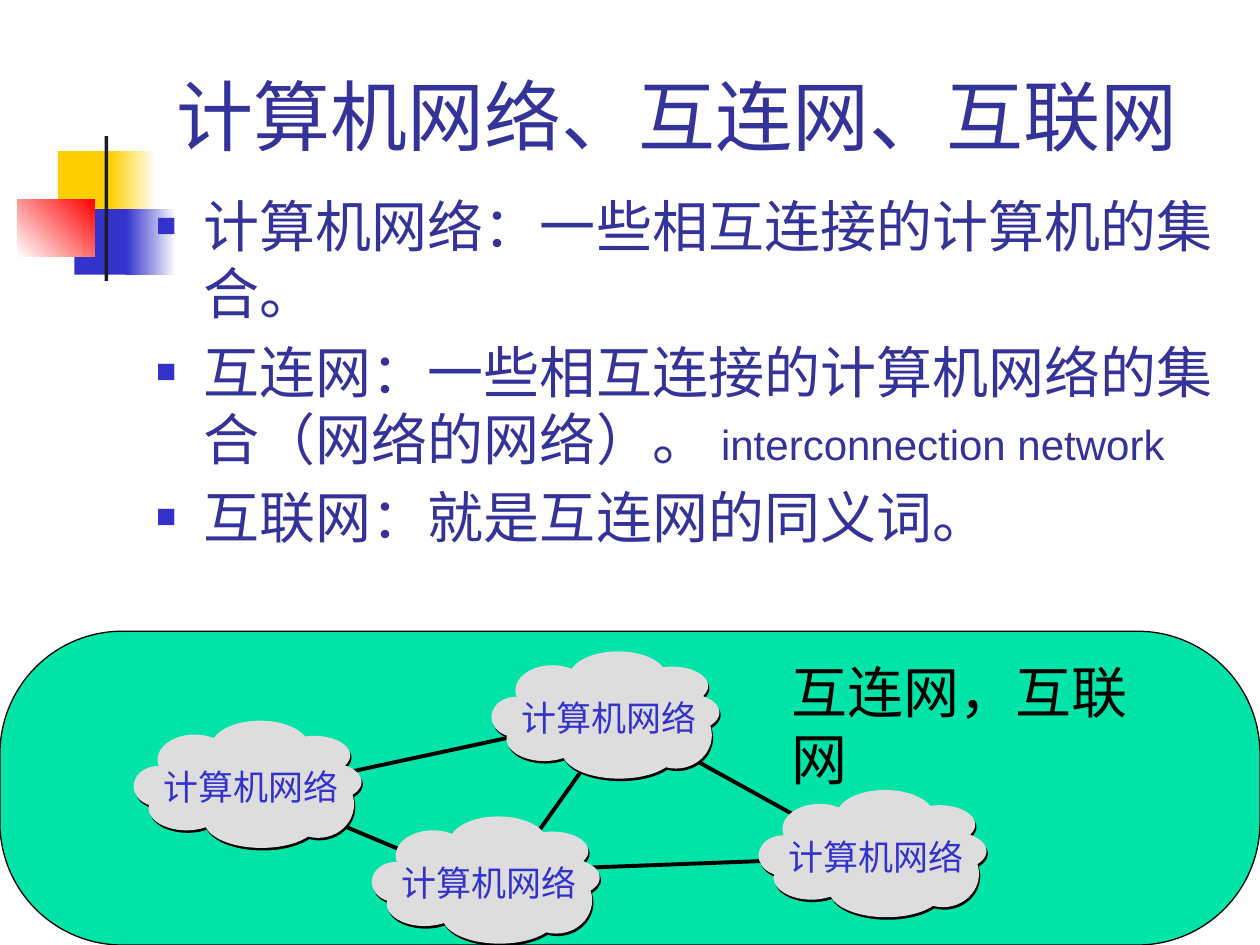
"""Build a slide that explains computer networks and internetworks."""
from typing import NamedTuple

from lxml.etree import SubElement
from pptx import Presentation
from pptx.dml.color import RGBColor
from pptx.enum.shapes import MSO_CONNECTOR, MSO_SHAPE
from pptx.enum.text import MSO_ANCHOR, PP_ALIGN
from pptx.oxml.ns import qn
from pptx.util import Inches, Pt

COLORS = {
    "yellow": "FFCF01", "blue": "3333CC", "red": "FF0000", "white": "FFFFFF",
    "bar": "1C1C1C", "navy": "333399", "green": "00E4A8", "black": "000000",
    "cloud": "DDDDDD",
}


class Box(NamedTuple):
    left: float
    top: float
    width: float
    height: float


class Ornament(NamedTuple):
    box: Box
    color: str
    end_color: str = ""
    angle: int = 0


class Link(NamedTuple):
    x1: float
    y1: float
    x2: float
    y2: float


class TextPart(NamedTuple):
    text: str
    size: int = 32


ORNAMENTS = [
    Ornament(Box(0.46, 1.2, 0.48, 0.52), "yellow"),
    Ornament(Box(0.88, 1.2, 0.36, 0.52), "yellow", "white"),
    Ornament(Box(0.59, 1.66, 0.46, 0.52), "blue"),
    Ornament(Box(1, 1.66, 0.4, 0.52), "blue", "white"),
    Ornament(Box(0.14, 1.58, 0.61, 0.46), "white", "red", 45),
    Ornament(Box(0.83, 1.08, 0.03, 1.15), "bar"),
]
DEFINITIONS = [
    [TextPart("计算机网络：一些相互连接的计算机的集合。")],
    [TextPart("互连网：一些相互连接的计算机网络的集合（网络的网络）。 "),
     TextPart("interconnection network", 24)],
    [TextPart("互联网：就是互连网的同义词。")],
]
LINKS = [
    Link(2.48, 6.19, 4.29, 5.8),
    Link(2.24, 6.35, 3.74, 6.98),
    Link(4.29, 6.9, 6.42, 6.82),
    Link(5.24, 5.88, 6.65, 6.66),
    Link(4.84, 5.8, 4.06, 6.9),
]
CLOUD_ORIGINS = [(1.06, 5.72), (2.95, 6.48), (3.9, 5.17), (6.02, 6.27)]
PUFFS = [
    Box(0.62, 0, 0.77, 0.4), Box(0.19, 0.11, 0.59, 0.4), Box(0, 0.36, 0.39, 0.32),
    Box(0.12, 0.52, 0.6, 0.35), Box(0.56, 0.58, 0.91, 0.43), Box(1.15, 0.12, 0.57, 0.31),
    Box(1.24, 0.33, 0.57, 0.31), Box(1.18, 0.4, 0.57, 0.53), Box(0.33, 0.24, 1.17, 0.53),
]
CLOUD_LABEL = Box(0.14, 0.31, 1.59, 0.43)


def rgb(name: str) -> RGBColor:
    return RGBColor.from_string(COLORS[name])


def emu(box: Box) -> list:
    return [Inches(length) for length in box]


def shift(box: Box, x: float, y: float) -> Box:
    return box._replace(left=box.left + x, top=box.top + y)


def style_run(run, size: int, font: str, color: str) -> None:
    run.font.size = Pt(size)
    run.font.name = font
    run.font.color.rgb = rgb(color)


def add_solid(shapes, kind, box: Box, color: str):
    shape = shapes.add_shape(kind, *emu(box))
    shape.shadow.inherit = False
    shape.fill.solid()
    shape.fill.fore_color.rgb = rgb(color)
    shape.line.fill.background()
    return shape


def add_ornament(shapes, ornament: Ornament) -> None:
    shape = add_solid(shapes, MSO_SHAPE.RECTANGLE, ornament.box, ornament.color)
    if ornament.end_color:
        shape.fill.gradient()
        shape.fill.gradient_angle = ornament.angle
        stops = shape.fill.gradient_stops
        for stop, color in zip(stops, (ornament.color, ornament.end_color)):
            stop.color.rgb = rgb(color)


def add_label(shapes, text: str, box: Box, size: int, color: str) -> None:
    text_frame = shapes.add_textbox(*emu(box)).text_frame
    text_frame.word_wrap = False
    text_frame.text = text
    style_run(text_frame.paragraphs[0].runs[0], size, "Times New Roman", color)


def add_link(shapes, link: Link) -> None:
    connector = shapes.add_connector(MSO_CONNECTOR.STRAIGHT, *[Inches(v) for v in link])
    connector.line.color.rgb = rgb("black")
    connector.line.width = Pt(2.25)
    SubElement(connector._element.spPr, qn("a:effectLst"))


def add_cloud(shapes, x: float, y: float) -> None:
    group = shapes.add_group_shape()
    for color, dx, dy in (("black", 0.01, 0.02), ("cloud", 0, 0)):
        for puff in PUFFS:
            add_solid(group.shapes, MSO_SHAPE.OVAL, shift(puff, x + dx, y + dy), color)
    add_label(group.shapes, "计算机网络", shift(CLOUD_LABEL, x, y), 20, "blue")


def add_bullet(paragraph) -> None:
    properties = paragraph._p.get_or_add_pPr()
    properties.set("marL", str(Inches(0.38)))
    properties.set("indent", str(-Inches(0.38)))
    bullet_color = SubElement(properties, qn("a:buClr"))
    SubElement(bullet_color, qn("a:srgbClr"), val=COLORS["blue"])
    SubElement(properties, qn("a:buSzPct"), val="60000")
    SubElement(properties, qn("a:buFont"), typeface="Arial")
    SubElement(properties, qn("a:buChar"), char="■")


def add_title(slide) -> None:
    title = slide.shapes.title
    title.left, title.top, title.width, title.height = emu(Box(1.3, -0.27, 8.52, 1.6))
    text_frame = title.text_frame
    text_frame.text = "计算机网络、互连网、互联网"
    text_frame.vertical_anchor = MSO_ANCHOR.BOTTOM
    paragraph = text_frame.paragraphs[0]
    paragraph.alignment = PP_ALIGN.LEFT
    style_run(paragraph.runs[0], 44, "Arial", "navy")


def add_definitions(shapes) -> None:
    text_frame = shapes.add_textbox(*emu(Box(1.14, 1.47, 8.86, 2.96))).text_frame
    text_frame.word_wrap = True
    for index, parts in enumerate(DEFINITIONS):
        paragraph = text_frame.add_paragraph() if index else text_frame.paragraphs[0]
        add_bullet(paragraph)
        paragraph.space_before = Pt(6.4 if index else 0)
        for part in parts:
            run = paragraph.add_run()
            run.text = part.text
            style_run(run, part.size, "Arial", "navy")


def main() -> None:
    presentation = Presentation()
    presentation.slide_width, presentation.slide_height = Inches(10), Inches(7.5)
    slide = presentation.slides.add_slide(presentation.slide_layouts[5])
    shapes = slide.shapes
    for ornament in ORNAMENTS:
        add_ornament(shapes, ornament)
    panel = add_solid(shapes, MSO_SHAPE.ROUNDED_RECTANGLE, Box(0, 5.01, 10, 2.49), "green")
    panel.adjustments[0] = 0.39
    panel.line.color.rgb = rgb("black")
    panel.line.width = Pt(0.75)
    add_title(slide)
    add_definitions(shapes)
    for link in LINKS:
        add_link(shapes, link)
    for x, y in CLOUD_ORIGINS:
        add_cloud(shapes, x, y)
    add_label(shapes, "互连网，互联网", Box(6.18, 5.17, 3.31, 0.63), 32, "black")
    presentation.save("out.pptx")


if __name__ == "__main__":
    main()
